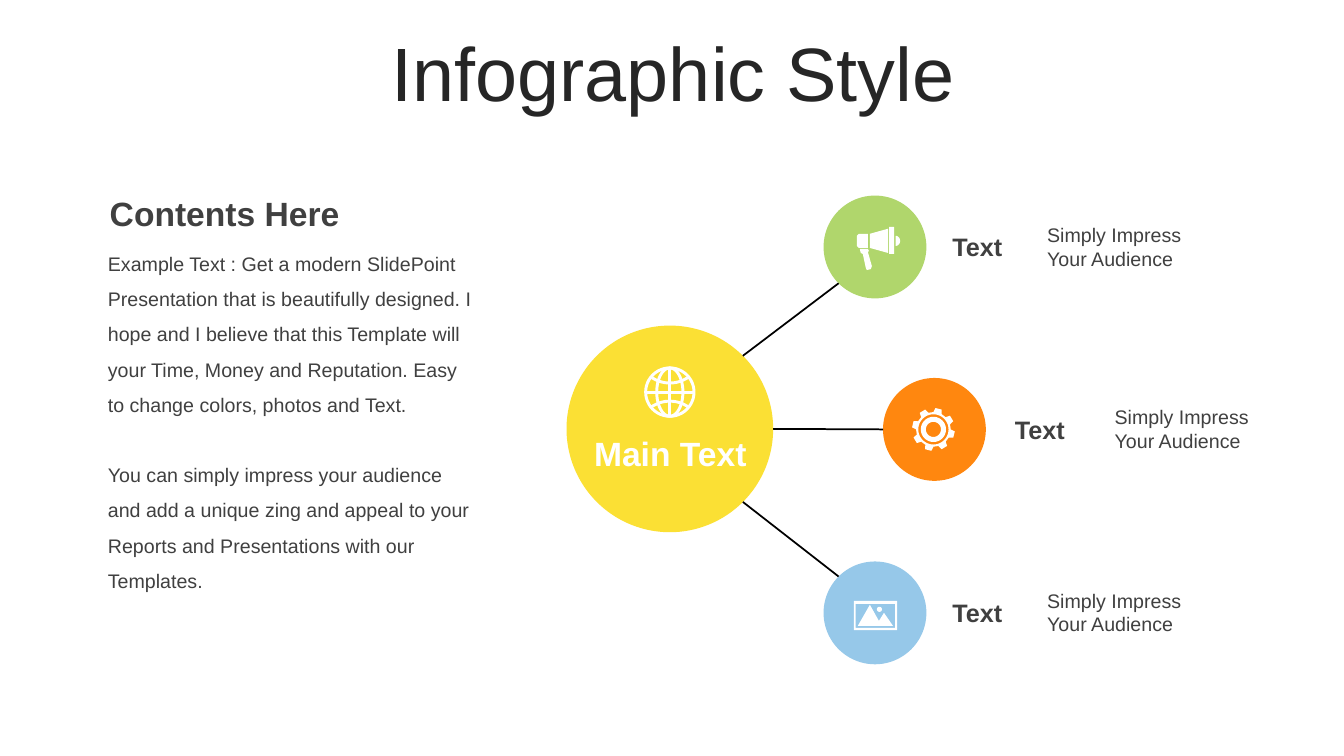
"""Build an infographic slide: a hub circle linked to three labelled satellites."""
import dataclasses
import math

import pptx
import pptx.dml.color
import pptx.enum.shapes
import pptx.enum.text
import pptx.oxml
import pptx.oxml.ns
import pptx.util

RGB = pptx.dml.color.RGBColor
ALIGN = pptx.enum.text.PP_ALIGN
ANCHOR = pptx.enum.text.MSO_ANCHOR
AUTO = pptx.enum.text.MSO_AUTO_SIZE

WHITE = RGB(0xFF, 0xFF, 0xFF)
BLACK = RGB(0x00, 0x00, 0x00)
INK = RGB(0x26, 0x26, 0x26)
GREY = RGB(0x40, 0x40, 0x40)
YELLOW = RGB(0xFB, 0xE0, 0x34)
GREEN = RGB(0xB0, 0xD6, 0x6C)
ORANGE = RGB(0xFF, 0x87, 0x0F)
BLUE = RGB(0x96, 0xC8, 0xE9)

FONT = "Arial"
CELL = pptx.util.Inches(0.1)
COLS, ROWS = 133.33, 75

Point = tuple[float, float]
Contour = list[Point]


@dataclasses.dataclass(frozen=True)
class Circle:
    col: float
    row: float
    radius: float
    color: RGB

    def rim(self, angle: float) -> Point:
        a = math.radians(angle)
        return self.col + self.radius * math.cos(a), self.row + self.radius * math.sin(a)


@dataclasses.dataclass(frozen=True)
class Branch:
    circle: Circle
    angle: float
    label_col: float
    note_col: float


@dataclasses.dataclass(frozen=True)
class Label:
    col: float
    row: float
    width: float
    height: float
    lines: tuple[str, ...]
    size: float
    color: RGB = GREY
    bold: bool = False
    align: ALIGN = ALIGN.LEFT
    anchor: ANCHOR = ANCHOR.TOP
    spacing: float = 1.0
    gap: float = 0
    inset: float = 1
    grow: bool = True


HUB = Circle(66.45, 42.55, 10.25, YELLOW)
BRANCHES = [
    Branch(Circle(86.8, 24.5, 5.1, GREEN), -45, 93.5, 102.9),
    Branch(Circle(92.7, 42.6, 5.1, ORANGE), 0, 99.7, 109.6),
    Branch(Circle(86.8, 60.8, 5.1, BLUE), 45, 93.5, 102.9),
]
LABELS = [
    Label(3.5, 3.7, 126.6, 7.9, ("Infographic Style",), 54, INK, align=ALIGN.CENTER,
          anchor=ANCHOR.MIDDLE, spacing=0.9, grow=False),
    Label(9.9, 23.3, 37.8, 32.5, (
        "Example Text : Get a modern SlidePoint Presentation that is beautifully designed. "
        "I hope and I believe that this Template will your Time, Money and Reputation. "
        "Easy to change colors, photos and Text.",
        "You can simply impress your audience and add a unique zing and appeal to your "
        "Reports and Presentations with our Templates."), 14, spacing=1.5, gap=25, inset=0.8),
    Label(9.9, 18.6, 37.8, 5, ("Contents Here",), 24, bold=True),
    Label(56.5, 42.5, 20, 5, ("Main Text",), 24, WHITE, True, ALIGN.CENTER),
]


def grid(cells: float) -> int:
    return round(cells * CELL)


def add_label(shapes, label: Label) -> None:
    sp = shapes.add_textbox(*map(grid, (label.col, label.row, label.width, label.height)))
    tf = sp.text_frame
    tf.text = "\n".join(label.lines)
    tf.word_wrap = True
    tf.auto_size = AUTO.SHAPE_TO_FIT_TEXT if label.grow else AUTO.NONE
    tf.vertical_anchor = label.anchor
    tf.margin_left = tf.margin_right = grid(label.inset)
    for i, p in enumerate(tf.paragraphs):
        p.alignment = label.align
        p.line_spacing = label.spacing
        p.space_before = pptx.util.Pt(label.gap if i else 0)
        for r in p.runs:
            r.font.name = FONT
            r.font.size = pptx.util.Pt(label.size)
            r.font.bold = label.bold
            r.font.color.rgb = label.color


def add_circle(shapes, circle: Circle) -> None:
    d = grid(2 * circle.radius)
    sp = shapes.add_shape(pptx.enum.shapes.MSO_SHAPE.OVAL, grid(circle.col - circle.radius),
                          grid(circle.row - circle.radius), d, d)
    sp.shadow.inherit = False
    sp.fill.solid()
    sp.fill.fore_color.rgb = circle.color
    sp.line.fill.background()


def add_link(shapes, start: Point, end: Point) -> None:
    cxn = shapes.add_connector(pptx.enum.shapes.MSO_CONNECTOR.STRAIGHT,
                               *map(grid, (*start, *end)))
    cxn.line.color.rgb = BLACK
    cxn.line.width = pptx.util.Pt(1.25)
    effects = pptx.oxml.parse_xml(f'<a:effectLst {pptx.oxml.ns.nsdecls("a")}/>')
    cxn._element.spPr.append(effects)


def arc(col: float, row: float, rx: float, ry: float,
        start: float = 0, end: float = 360) -> Contour:
    angles = [math.radians(start + (end - start) * i / 48) for i in range(49)]
    return [(col + rx * math.cos(a), row + ry * math.sin(a)) for a in angles]


def box(left: float, top: float, right: float, bottom: float) -> Contour:
    return [(left, top), (right, top), (right, bottom), (left, bottom)]


def add_icon(shapes, contours: list[Contour], stroke: float = 0) -> None:
    first, *rest = [[(grid(x), grid(y)) for x, y in c] for c in contours]
    builder = shapes.build_freeform(*first[0])
    builder.add_line_segments(first[1:], close=not stroke)
    for points in rest:
        builder.move_to(*points[0])
        builder.add_line_segments(points[1:], close=not stroke)
    sp = builder.convert_to_shape()
    sp.shadow.inherit = False
    if stroke:
        sp.fill.background()
        sp.line.color.rgb = WHITE
        sp.line.width = pptx.util.Pt(stroke)
    else:
        sp.fill.solid()
        sp.fill.fore_color.rgb = WHITE
        sp.line.fill.background()


def globe(col: float, row: float) -> list[Contour]:
    return [arc(col, row, 2.4, 2.4), arc(col, row, 1.3, 2.4),
            [(col - 2.4, row), (col + 2.4, row)], [(col, row - 2.4), (col, row + 2.4)],
            arc(col, row - 4.1, 3.2, 3.2, 56, 124), arc(col, row + 4.1, 3.2, 3.2, 236, 304)]


def gear(col: float, row: float) -> list[Contour]:
    teeth = []
    for i in range(8):
        for offset, radius in ((-14, 1.72), (-8.5, 2.13), (8.5, 2.13), (14, 1.72)):
            teeth.append(Circle(col, row, radius, WHITE).rim(-76 + 45 * i + offset))
    return [teeth] + [arc(col, row, r, r) for r in (1.5, 1.25, 0.75)]


def megaphone() -> list[Contour]:
    handle = [(85.3, 24.7), (86.1, 24.7), (86.2, 24.9), (86.1, 25), (86.5, 26.4), (86.4, 26.7),
              (86, 26.8), (85.9, 26.6), (85.6, 25.2), (85.4, 25.1)]
    grip = [(85.2, 23.2), (86.1, 23.2), (86.1, 24.6), (85.2, 24.6), (85, 24.4), (85, 23.4)]
    horn = [(88.1, 22.7), (88.1, 25.1), (86.3, 24.6), (86.3, 23.2)]
    return [handle, grip, horn, box(88.2, 22.5, 88.7, 25.2),
            arc(88.85, 23.9, 0.45, 0.5, -90, 90)]


def photo() -> list[Contour]:
    hills = [(86.3, 60), (87.2, 61.6), (87.7, 60.8), (88.6, 62.1), (85.1, 62.1)]
    return [box(84.7, 59.6, 89, 62.5), box(84.9, 59.9, 88.8, 62.3), hills,
            arc(87.25, 60.45, 0.25, 0.25)]


def main() -> None:
    prs = pptx.Presentation()
    prs.slide_width, prs.slide_height = grid(COLS), grid(ROWS)
    shapes = prs.slides.add_slide(prs.slide_layouts[6]).shapes
    add_circle(shapes, HUB)
    for branch in BRANCHES:
        circle = branch.circle
        add_circle(shapes, circle)
        add_link(shapes, circle.rim(180 + branch.angle), HUB.rim(branch.angle))
        add_label(shapes, Label(branch.label_col, circle.row - 2, 7.9, 4, ("Text",), 18, bold=True))
        add_label(shapes, Label(branch.note_col, circle.row - 2.9, 17.3, 5.7,
                                ("Simply Impress", "Your Audience"), 14, anchor=ANCHOR.MIDDLE))
    for label in LABELS:
        add_label(shapes, label)
    add_icon(shapes, globe(66.45, 38.9), stroke=2.1)
    for contours in (megaphone(), gear(92.6, 42.6), photo()):
        add_icon(shapes, contours)
    prs.save("out.pptx")


if __name__ == "__main__":
    main()
